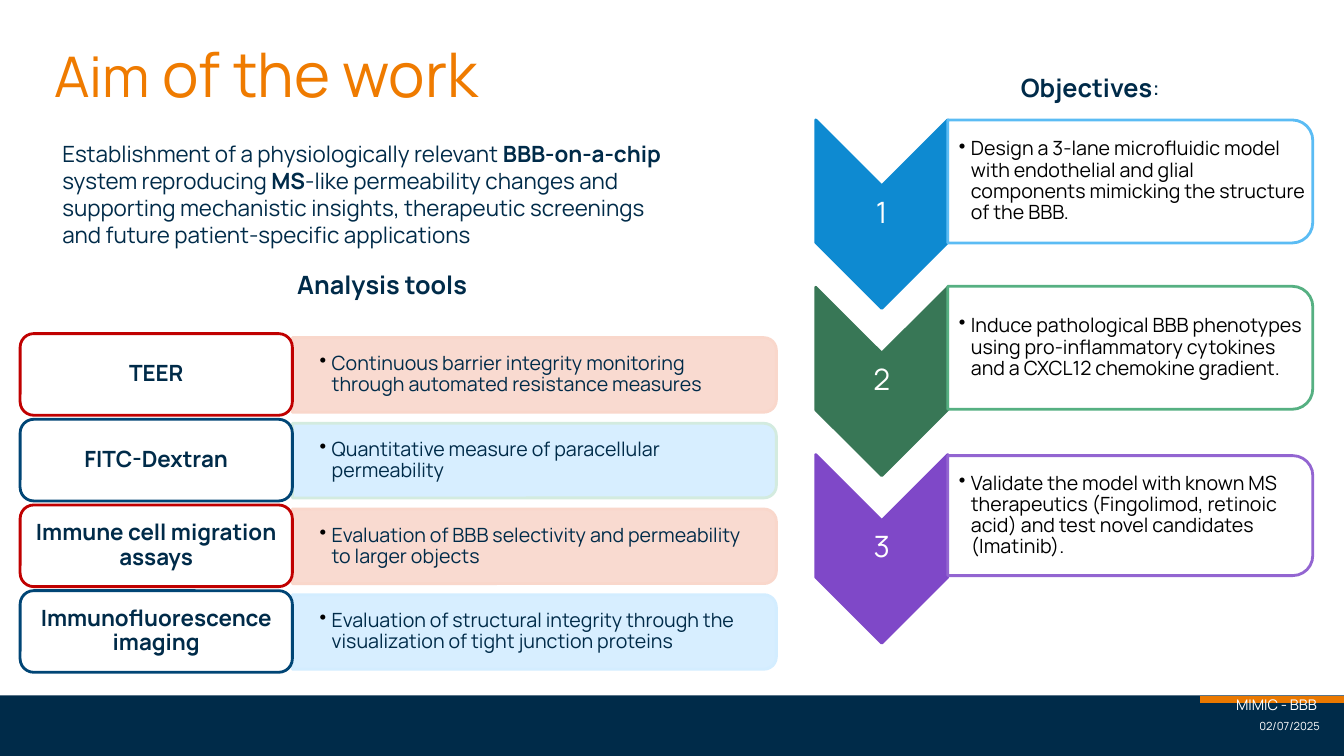
from lxml.etree import SubElement as Sub
from pptx import Presentation as Deck
from pptx.dml.color import RGBColor as Rgb
from pptx.enum.shapes import MSO_CONNECTOR as Link, MSO_SHAPE as Kind
from pptx.enum.text import MSO_ANCHOR as Anchor, PP_ALIGN as Align
from pptx.oxml.ns import qn
from pptx.util import Pt

PX = 9144  # EMU per px, 100 px to the inch
FACE = "Manrope"
HUES = {
    "navy": "002B49", "orange": "EF7B00", "amber": "EA7800",
    "white": "FFFFFF", "black": "000000", "red": "C00000",
    "deep": "004575", "rose": "F9D7CB", "sky": "D3EDFF", "mint": "D3EBDF",
    "blue": "0E8AD1", "azure": "5BBCF4", "green": "387756", "leaf": "56B082",
    "purple": "7F48C8", "lilac": "9365D1",
}

AIM = [
    ("Establishment of a physiologically relevant ", False),
    ("BBB-on-a-chip ", True),
    ("system reproducing ", False),
    ("MS", True),
    ("-like permeability changes and supporting mechanistic insights, "
     "therapeutic screenings and future patient-specific applications", False),
]
TOOLS = [  # name, detail, frame, fill, edge
    ("TEER", "Continuous barrier integrity monitoring through automated "
     "resistance measures", "red", "rose", "rose"),
    ("FITC-Dextran", "Quantitative measure of paracellular permeability",
     "deep", "sky", "mint"),
    ("Immune cell migration assays", "Evaluation of BBB selectivity and "
     "permeability to larger objects", "red", "rose", "rose"),
    ("Immunofluorescence imaging", "Evaluation of structural integrity through "
     "the visualization of tight junction proteins", "deep", "sky", "sky"),
]
GOALS = [  # detail, arrow, edge, card top, card height
    ("Design a 3-lane microfluidic model with endothelial and glial components "
     "mimicking the structure of the BBB.", "blue", "azure", 119, 122),
    ("Induce pathological BBB phenotypes using pro-inflammatory cytokines and "
     "a CXCL12 chemokine gradient.", "green", "leaf", 284, 122),
    ("Validate the model with known MS therapeutics (Fingolimod, retinoic "
     "acid) and test novel candidates (Imatinib).", "purple", "lilac", 452, 119),
]


def hue(name):
    return Rgb.from_string(HUES[name])


def apply(item, form):
    for key, value in form.items():
        setattr(item, key, value)


def write(shape, runs, size, tint, pad=(10, 5, 10, 5), anchor=Anchor.TOP,
          dot=False, **form):
    """Fill a shape with one paragraph of (text, bold[, size]) runs."""
    frame = shape.text_frame
    sides = ("margin_left", "margin_top", "margin_right", "margin_bottom")
    apply(frame, {"word_wrap": True, "vertical_anchor": anchor,
                  **{side: gap * PX for side, gap in zip(sides, pad)}})
    para = frame.paragraphs[0]
    if dot:
        props = para._p.get_or_add_pPr()
        props.set("marL", str(12 * PX))
        props.set("indent", str(-12 * PX))
        Sub(Sub(props, qn("a:buClr")), qn("a:srgbClr"), val=HUES["black"])
        Sub(props, qn("a:buChar"), char="•")
    apply(para, form)
    for text, bold, *own in runs:
        run = para.add_run()
        run.text = text
        apply(run.font, {"name": FACE, "bold": bold,
                         "size": Pt(own[0] if own else size)})
        run.font.color.rgb = hue(tint)


def label(slide, box, runs, size, tint, **form):
    shape = slide.shapes.add_textbox(*(n * PX for n in box))
    write(shape, runs, size, tint, **form)


def block(slide, kind, box, fill, edge=None, turn=False, clear=False):
    """Add a preset shape; a turned one fills box after a quarter turn."""
    left, top, wide, high = box
    if turn:
        left, top = left + (wide - high) / 2, top + (high - wide) / 2
        wide, high = high, wide
    shape = slide.shapes.add_shape(
        kind, *(int(n * PX) for n in (left, top, wide, high)))
    shape.shadow.inherit = False
    shape.rotation = 90 if turn else 0
    shape.fill.solid()
    shape.fill.fore_color.rgb = hue(fill)
    if edge:
        shape.line.color.rgb = hue(edge)
        shape.line.width = Pt(2)
    else:
        shape.line.fill.background()
    if clear:
        tone = shape._element.spPr.find(qn("a:solidFill"))[0]
        Sub(tone, qn("a:alpha"), val="90000")
    return shape


def rule(slide, start, end, tint, width):
    line = slide.shapes.add_connector(
        Link.STRAIGHT, *(n * PX for n in (*start, *end)))
    line.line.color.rgb = hue(tint)
    line.line.width = Pt(width)
    Sub(line._element.spPr, qn("a:effectLst"))


def tool(slide, row, name, note, frame, fill, edge):
    drop = 85 * row
    block(slide, Kind.ROUND_2_SAME_RECTANGLE, (290, 335 + drop, 480, 74),
          fill, edge, turn=True, clear=True)
    label(slide, (290, 338 + drop, 476, 68), [(note, False)], 14, "navy",
          pad=(27, 14, 27, 14), anchor=Anchor.MIDDLE, dot=True,
          line_spacing=0.9)
    tile = block(slide, Kind.ROUNDED_RECTANGLE, (20, 331 + drop, 270, 81),
                 "white", frame)
    write(tile, [(name, True)], 16, "navy", pad=(7, 3, 7, 3),
          anchor=Anchor.MIDDLE, alignment=Align.CENTER, line_spacing=0.9)


def goal(slide, row, note, fill, edge, top, high):
    drop = 166 * row
    block(slide, Kind.CHEVRON, (809, 119 + drop, 131, 187), fill, fill,
          turn=True)
    label(slide, (809, 184 + drop, 131, 56), [(str(row + 1), False)], 21,
          "white", pad=(1, 1, 1, 1), anchor=Anchor.MIDDLE,
          alignment=Align.CENTER, line_spacing=0.9)
    block(slide, Kind.ROUND_2_SAME_RECTANGLE, (940, top, 362, high),
          "white", edge, turn=True, clear=True)
    label(slide, (940, top + 6, 357, high - 12), [(note, False)], 14, "black",
          pad=(11, 1, 1, 1), anchor=Anchor.MIDDLE, dot=True, line_spacing=0.9)


def main():
    deck = Deck()
    apply(deck, {"slide_width": 1333 * PX, "slide_height": 750 * PX})
    slide = deck.slides.add_slide(deck.slide_layouts[6])

    # Footer band
    block(slide, Kind.RECTANGLE, (0, 690, 1333, 60), "navy")

    # Headings and aim
    label(slide, (44, 39, 1247, 85), [("Aim", False, 40),
          (" of the work", False)], 44, "orange", line_spacing=0.9)
    label(slide, (935, 66, 293, 41), [("Objectives", True), (":", False)],
          18, "navy", anchor=Anchor.MIDDLE, alignment=Align.CENTER)
    label(slide, (52, 134, 637, 118), AIM, 16, "navy")
    label(slide, (264, 262, 230, 44), [("Analysis tools", True)], 18, "navy",
          alignment=Align.CENTER)

    # Objectives and analysis tools
    for row, item in enumerate(GOALS):
        goal(slide, row, *item)
    for row, item in enumerate(TOOLS):
        tool(slide, row, *item)

    # Footer marks
    rule(slide, (1190, 694), (1333, 694), "amber", 4.5)
    label(slide, (1129, 709, 190, 41), [("02/07/2025", False)], 8, "white",
          alignment=Align.RIGHT)
    label(slide, (395, 685, 921, 35), [("MIMIC - BBB", False)], 10.5, "white",
          alignment=Align.RIGHT)

    deck.save("out.pptx")


if __name__ == "__main__":
    main()
